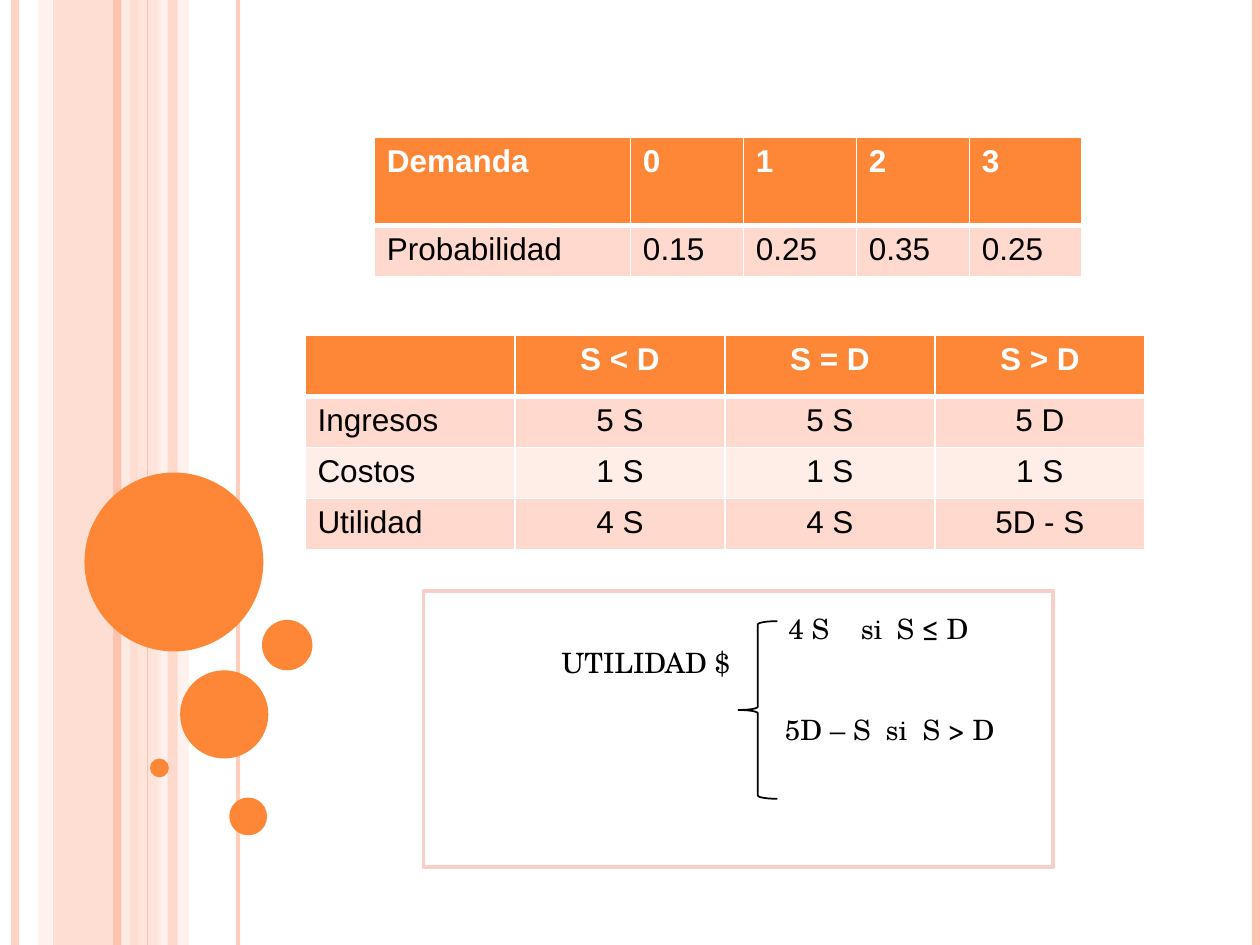
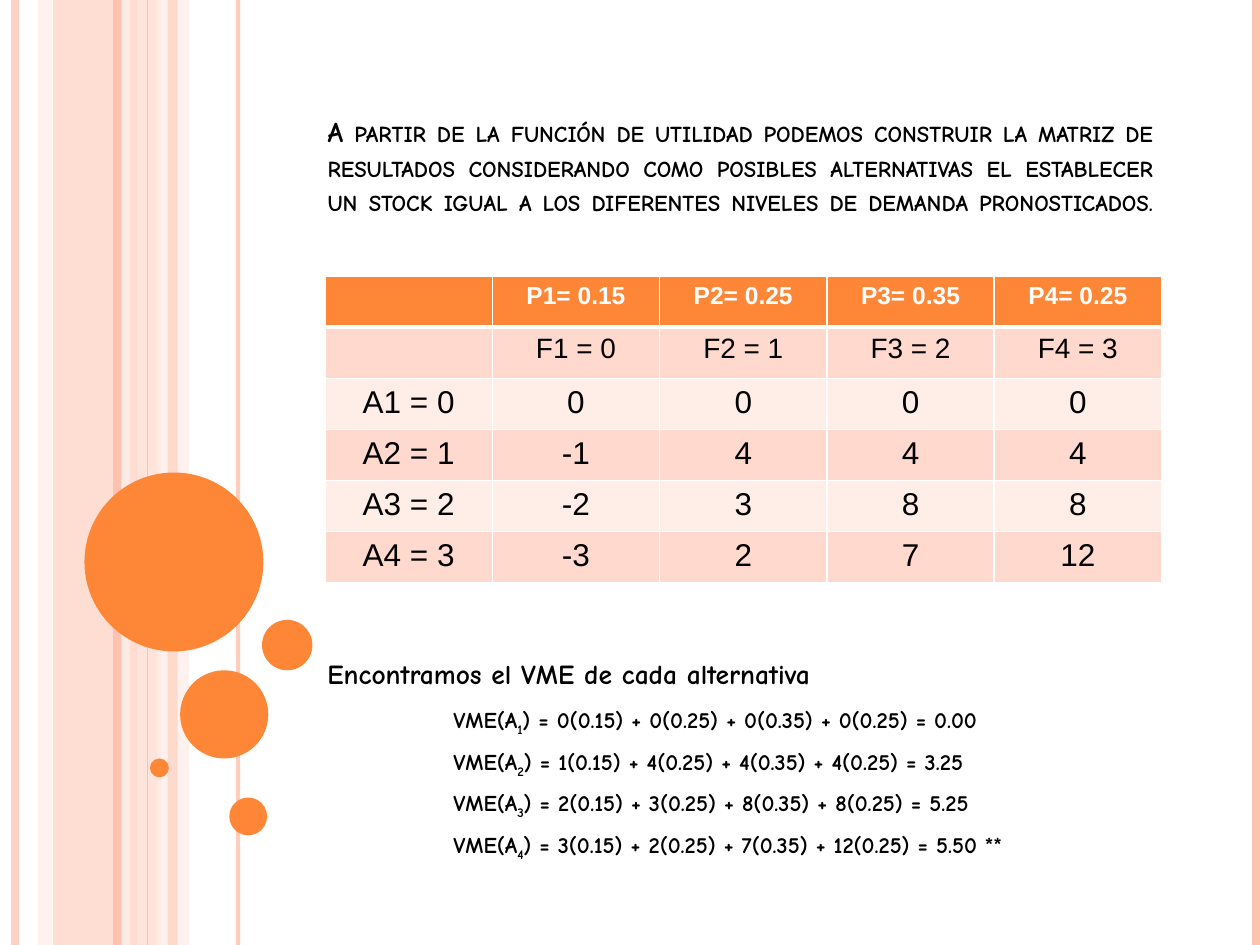
"""Builds two slides on stock profit and the expected value of each alternative."""
import pptx
import pptx.dml.color
import pptx.enum.shapes
import pptx.enum.text
import pptx.oxml
import pptx.oxml.ns
import pptx.util
from lxml import etree

Pt = pptx.util.Pt
RGB = pptx.dml.color.RGBColor
qn = pptx.oxml.ns.qn
Preset = pptx.enum.shapes.MSO_SHAPE
Align = pptx.enum.text.PP_ALIGN
Anchor = pptx.enum.text.MSO_ANCHOR

ORANGE = RGB(0xFE, 0x86, 0x37)
SALMON = RGB(0xFE, 0xC3, 0xAE)
PEACH = RGB(0xFF, 0xD9, 0xCE)
BLUSH = RGB(0xFF, 0xED, 0xE8)
FRAME = RGB(0xF8, 0xCF, 0xC8)
WHITE = RGB(0xFF, 0xFF, 0xFF)
BLACK = RGB(0, 0, 0)

SANS, CASUAL, SERIF = "Arial", "Comic Neue", "TeX Gyre Schola"
WIDTH, HEIGHT = 720, 540

BANDS = [(30.24, 48.24, SALMON, 54), (21.6, 7.92, PEACH, 36),
         (77.76, 14.4, PEACH, 70), (90, 18, BLUSH, 71)]
STRIPES = [(8.64, 4.5, SALMON, 73), (72, 4.5, BLUSH, 83), (66.96, 4.5, SALMON, 100),
           (136.08, 2.25, SALMON, 82), (84.24, 0.75, SALMON, 100), (717.84, 4.5, SALMON, 100)]
TOP_BAND = (95.76, 5.76, SALMON, 51)
BUBBLES = [(48.24, 270, 102.24), (102.96, 383.04, 50.4), (85.68, 433.44, 10.8),
           (131.04, 455.76, 21.6), (149.76, 354.24, 28.8)]


def set_opacity(part, percent):
    """Make the first colour of a part partly transparent."""
    if percent < 100:
        colour = next(part.element.iter(qn("a:srgbClr")))
        etree.SubElement(colour, qn("a:alpha")).set("val", str(percent * 1000))


def add_preset(slide, preset, box, fill=None, line=None, weight=1):
    """Add a preset shape without shadow, with optional fill and outline."""
    shape = slide.shapes.add_shape(preset, *map(Pt, box))
    shape.shadow.inherit = False
    if fill is None:
        shape.fill.background()
    else:
        shape.fill.solid()
        shape.fill.fore_color.rgb = fill
    if line is None:
        shape.line.fill.background()
    else:
        shape.line.color.rgb = line
        shape.line.width = Pt(weight)
    return shape


def add_band(slide, left, width, colour, opacity):
    """Add a full-height translucent band."""
    band = add_preset(slide, Preset.RECTANGLE, (left, 0, width, HEIGHT), colour)
    set_opacity(band, opacity)


def add_stripe(slide, x, weight, colour, opacity):
    """Add a full-height vertical line."""
    stripe = slide.shapes.add_connector(
        pptx.enum.shapes.MSO_CONNECTOR.STRAIGHT, Pt(x), 0, Pt(x), Pt(HEIGHT))
    stripe.line.color.rgb = colour
    stripe.line.width = Pt(weight)
    etree.SubElement(stripe.element.find(qn("p:spPr")), qn("a:effectLst"))
    set_opacity(stripe, opacity)


def decorate_master(master, slide):
    """Draw the bands and bubbles on an empty slide and move them to the master."""
    for band in BANDS:
        add_band(slide, *band)
    for stripe in STRIPES:
        add_stripe(slide, *stripe)
    add_band(slide, *TOP_BAND)
    for left, top, size in BUBBLES:
        add_preset(slide, Preset.OVAL, (left, top, size, size), ORANGE)
    for number, decoration in enumerate(list(slide.shapes), 100):
        next(decoration.element.iter(qn("p:cNvPr"))).set("id", str(number))
        master.shapes.element.append(decoration.element)


def format_runs(paragraph, font, size, colour, bold=False):
    """Give every run of a paragraph the same font."""
    for run in paragraph.runs:
        run.font.name = font
        run.font.size = Pt(size)
        run.font.color.rgb = colour
        run.font.bold = bold


def set_tabs(paragraph, stops):
    """Set left tab stops, in points from the text edge."""
    tabs = etree.SubElement(paragraph._p.get_or_add_pPr(), qn("a:tabLst"))
    for stop in stops:
        tab = etree.SubElement(tabs, qn("a:tab"))
        tab.set("pos", str(int(Pt(stop))))
        tab.set("algn", "l")


def set_borders(cell, weights):
    """Draw white borders with the given weights by side."""
    properties = cell._tc.get_or_add_tcPr()
    for side, weight in weights.items():
        border = etree.SubElement(properties, qn("a:ln" + side))
        border.set("w", str(int(Pt(weight))))
        fill = etree.SubElement(border, qn("a:solidFill"))
        etree.SubElement(fill, qn("a:srgbClr")).set("val", str(WHITE))


def add_grid(slide, left, top, widths, heights, rows, centred_from, sizes):
    """Add a table with an orange header and alternating body rows."""
    table = slide.shapes.add_table(
        len(rows), len(widths), Pt(left), Pt(top), Pt(sum(widths)), Pt(sum(heights))).table
    for column, width in zip(table.columns, widths):
        column.width = Pt(width)
    for r, (values, height, size) in enumerate(zip(rows, heights, sizes)):
        table.rows[r].height = Pt(height)
        for c, value in enumerate(values):
            cell = table.cell(r, c)
            set_borders(cell, {"L": 1, "R": 1, "T": 3 if r == 1 else 1, "B": 1 if r else 3})
            cell.fill.solid()
            cell.fill.fore_color.rgb = (PEACH if r % 2 else BLUSH) if r else ORANGE
            cell.text_frame.text = value
            paragraph = cell.text_frame.paragraphs[0]
            paragraph.alignment = Align.CENTER if c >= centred_from else Align.LEFT
            format_runs(paragraph, SANS, size, BLACK if r else WHITE, r == 0)


def add_profit_function(slide):
    """Add the framed profit function with its brace."""
    frame = add_preset(slide, Preset.RECTANGLE, (241.92, 337.68, 360, 157.68),
                       line=FRAME, weight=2)
    text = frame.text_frame
    text.word_wrap = True
    text.vertical_anchor = Anchor.TOP
    text.margin_top = Pt(12)
    lines = [("\t4 S\tsi\tS ≤ D", 0, (201.6, 242.9, 263.4)),
             ("\tUTILIDAD $", 0, (72,)),
             ("\t5D – S\tsi\tS > D", 19, (199.5, 257.1, 278.3))]
    text.text = "\n".join(line for line, _, _ in lines)
    for paragraph, (_, gap, stops) in zip(text.paragraphs, lines):
        paragraph.alignment = Align.LEFT
        paragraph.space_before = Pt(gap)
        set_tabs(paragraph, stops)
        format_runs(paragraph, SERIF, 16, BLACK)
    add_preset(slide, Preset.LEFT_BRACE, (421.92, 354.96, 22.32, 101.52), line=BLACK)


def set_title(slide, wording):
    """Place and format the justified small-caps title."""
    title = slide.shapes.title
    title.left, title.top, title.width, title.height = map(Pt, (180, 44.64, 486, 112.32))
    text = title.text_frame
    text.word_wrap = True
    text.auto_size = pptx.enum.text.MSO_AUTO_SIZE.NONE
    text.vertical_anchor = Anchor.BOTTOM
    text.margin_bottom = Pt(13)
    text.text = wording
    paragraph = text.paragraphs[0]
    paragraph.alignment = Align.JUSTIFY
    paragraph.line_spacing = Pt(19.7)
    format_runs(paragraph, CASUAL, 16.2, BLACK, True)
    for run in paragraph.runs:
        run._r.get_or_add_rPr().set("cap", "small")


def add_expected_values(slide, heading, results):
    """Add the heading and one expected-value formula per alternative."""
    text = slide.shapes.add_textbox(Pt(180), Pt(371), Pt(486), Pt(130)).text_frame
    text.word_wrap = True
    text.text = heading
    text.paragraphs[0].line_spacing = Pt(20)
    format_runs(text.paragraphs[0], CASUAL, 15.7, BLACK, True)
    for number, result in enumerate(results, 1):
        formula = text.add_paragraph()
        formula.line_spacing = Pt(17.7)
        formula.space_before = Pt(9 if number == 1 else 6)
        set_tabs(formula, (72,))
        for wording in ("\tVME(A", str(number), ") = " + result):
            formula.add_run().text = wording
        format_runs(formula, CASUAL, 12.9, BLACK, True)
        formula.runs[1]._r.get_or_add_rPr().set("baseline", "-25000")


def build_profit_slide(slide):
    """Fill the slide with demand, profit and the profit function."""
    add_grid(slide, 213.84, 78.48, [146.4] + [64.56] * 4, [50.4, 29.25],
             [["Demanda", "0", "1", "2", "3"],
              ["Probabilidad", "0.15", "0.25", "0.35", "0.25"]], 5, [18] * 2)
    add_grid(slide, 174.24, 191.52, [120] * 4, [35] + [29.25] * 3,
             [["", "S < D", "S = D", "S > D"],
              ["Ingresos", "5 S", "5 S", "5 D"],
              ["Costos", "1 S", "1 S", "1 S"],
              ["Utilidad", "4 S", "4 S", "5D - S"]], 1, [18] * 4)
    add_profit_function(slide)


def build_matrix_slide(slide):
    """Fill the slide with the result matrix and the expected values."""
    set_title(slide, "A partir de la función de utilidad podemos construir la matriz de "
                     "resultados considerando como posibles alternativas el establecer un "
                     "stock igual a los diferentes niveles de demanda pronosticados.\v")
    add_expected_values(slide, "Encontramos el VME de cada alternativa", [
        "0(0.15) + 0(0.25) + 0(0.35) + 0(0.25) = 0.00",
        "1(0.15) + 4(0.25) + 4(0.35) + 4(0.25) = 3.25",
        "2(0.15) + 3(0.25) + 8(0.35) + 8(0.25) = 5.25",
        "3(0.15) + 2(0.25) + 7(0.35) + 12(0.25) = 5.50 **"])
    add_grid(slide, 185.76, 157.68, [95.6] * 5, [29.25] * 6,
             [["", "P1= 0.15", "P2= 0.25", "P3= 0.35", "P4= 0.25"],
              ["", "F1 = 0", "F2 = 1", "F3 = 2", "F4 = 3"],
              ["A1 = 0", "0", "0", "0", "0"],
              ["A2 = 1", "-1", "4", "4", "4"],
              ["A3 = 2", "-2", "3", "8", "8"],
              ["A4 = 3", "-3", "2", "7", "12"]], 0, [14, 16] + [18] * 4)


def main():
    """Build and save the presentation."""
    deck = pptx.Presentation()
    deck.slide_width, deck.slide_height = Pt(WIDTH), Pt(HEIGHT)
    title_only, blank = deck.slide_layouts[5], deck.slide_layouts[6]
    profit_slide = deck.slides.add_slide(blank)
    decorate_master(deck.slide_master, profit_slide)
    build_profit_slide(profit_slide)
    build_matrix_slide(deck.slides.add_slide(title_only))
    deck.save("out.pptx")


main()
